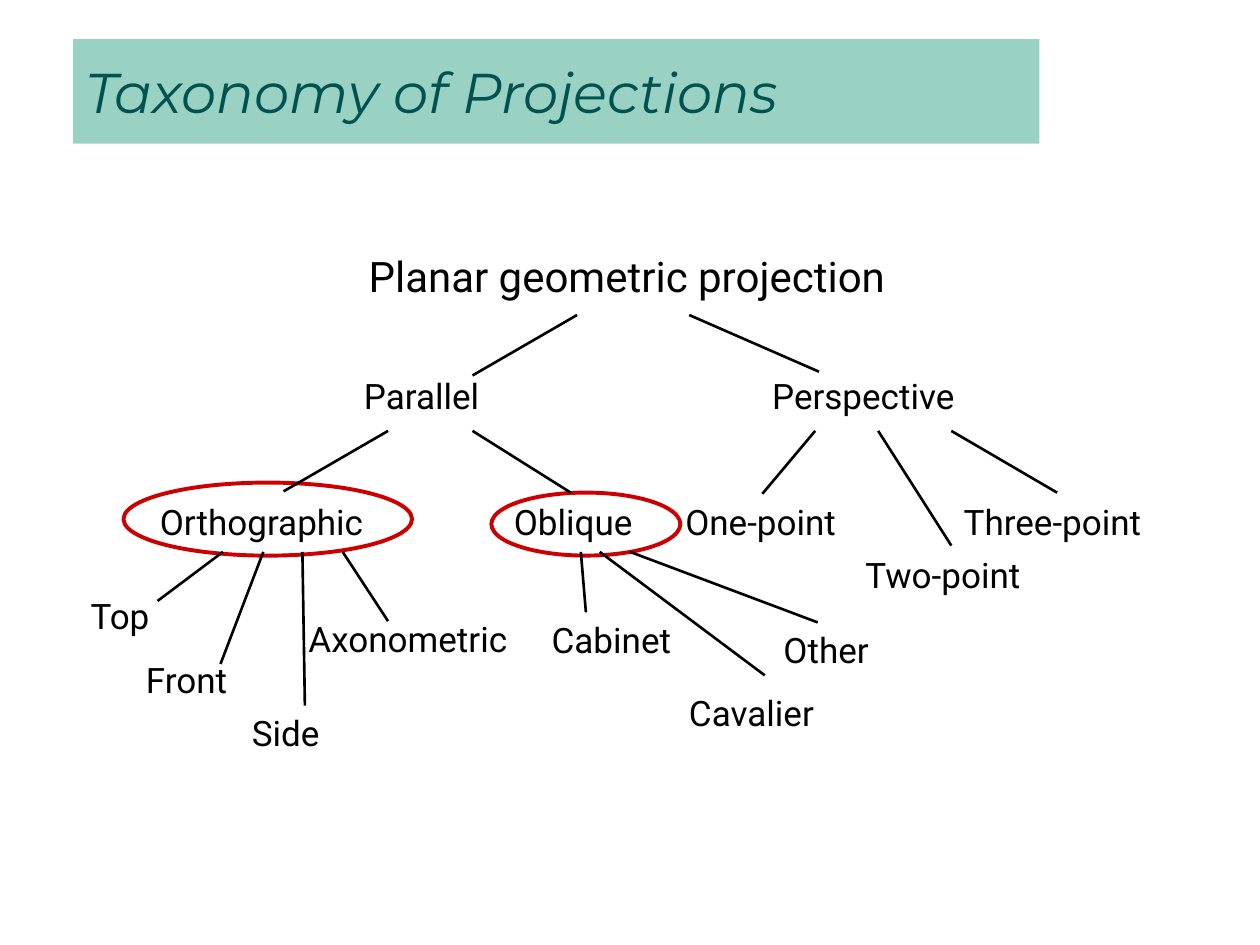
from pptx import Presentation
from pptx import util as u
from pptx.dml import color
from pptx.enum import shapes, text
from pptx.oxml.ns import qn
from lxml import etree

HUES = {"band": "99D1C2", "title": "005250", "ink": "000000", "ring": "CC0000"}
COLS, ROWS = 88, 42
TREE = (0.6, 1.9, 8.8, 4.2)
BAND = (0.58, 0.31, 7.67, 0.83)
HIGH = 4.4

ROOT = ("Planar geometric projection", 20.9, 0.4, 45.7)
KINDS = {
    10.2: [("Parallel", 21.9, 11.7), ("Perspective", 54.3, 17)],
    20.2: [("Orthographic", 5.7, 19.6), ("Oblique", 33.8, 12.3),
           ("One-point", 47.4, 15.2), ("Three-point", 69.5, 17.3)],
    24.4: [("Two-point", 61.7, 15.1)],
    27.7: [("Top", 0.2, 6.9)],
    29.5: [("Axonometric", 17.5, 18.7)],
    29.6: [("Cabinet", 36.8, 12)],
    30.4: [("Other", 55.2, 9.6)],
    32.8: [("Front", 4.6, 9)],
    35.4: [("Cavalier", 47.7, 12.4)],
    37: [("Side", 13, 7.5)],
}
LINKS = {
    6: [(39.8, 31.5, 10.8), (48.7, 59, 10.5)],
    15.2: [(24.8, 16.5, 20), (31.5, 39.3, 20.1), (58.7, 54.5, 20.2),
           (63.7, 69.5, 24.3), (69.5, 77.9, 20.1)],
    24.8: [(11.7, 6.5, 28.7), (14.9, 11.5, 33.7), (18, 18.2, 37),
           (21.2, 24.8, 30.3), (40.1, 40.5, 29.6), (41.6, 54.7, 34.6),
           (44, 58.9, 30.4)],
}
RINGS = [(3.8, 19.3, 22.9, 5.8), (33, 20.1, 15, 5)]


def hue(name):
    return color.RGBColor.from_string(HUES[name])


def cell(box, x, y):
    left, top, wide, tall = box
    return u.Inches(left + x * wide / COLS), u.Inches(top + y * tall / ROWS)


def area(box, x, y, w, h):
    return (*cell(box, x, y), *cell((0, 0, *box[2:]), w, h))


def write(frame, words, size=20, font="Roboto", ink="ink", slant=False,
          align=text.PP_ALIGN.LEFT):
    para = frame.paragraphs[0]
    para.alignment = align
    run = para.add_run()
    run.text = words
    run.font.size = u.Pt(size)
    run.font.name = font
    run.font.italic = slant
    run.font.color.rgb = hue(ink)


def head(slide, box):
    title = slide.shapes.title
    title.left, title.top, title.width, title.height = map(u.Inches, box)
    title.fill.solid()
    title.fill.fore_color.rgb = hue("band")
    frame = title.text_frame
    frame.auto_size = text.MSO_AUTO_SIZE.NONE
    frame.vertical_anchor = text.MSO_ANCHOR.MIDDLE
    write(frame, "Taxonomy of Projections", size=32, font="Montserrat",
          ink="title", slant=True)


def rings(slide, box):
    for spot in RINGS:
        ring = slide.shapes.add_shape(shapes.MSO_SHAPE.OVAL, *area(box, *spot))
        ring.shadow.inherit = False
        ring.fill.background()
        ring.line.color.rgb = hue("ring")
        ring.line.width = u.Pt(2.25)


def label(group, box, words, x, y, wide, high=HIGH, **style):
    frame = group.shapes.add_textbox(*area(box, x, y, wide, high)).text_frame
    frame.word_wrap = False
    frame.auto_size = text.MSO_AUTO_SIZE.SHAPE_TO_FIT_TEXT
    write(frame, words, **style)


def link(group, box, start, end):
    line = group.shapes.add_connector(
        shapes.MSO_CONNECTOR.STRAIGHT, *cell(box, *start), *cell(box, *end))
    line.line.color.rgb = hue("ink")
    line.line.width = u.Pt(1.5)
    etree.SubElement(line._element.spPr, qn("a:effectLst"))


def tree(slide, box):
    group = slide.shapes.add_group_shape()
    label(group, box, *ROOT, high=5, size=24, align=text.PP_ALIGN.CENTER)
    for y, row in KINDS.items():
        for words, x, wide in row:
            label(group, box, words, x, y, wide)
    for y, row in LINKS.items():
        for x, to, down in row:
            link(group, box, (x, y), (to, down))


def main():
    deck = Presentation()
    deck.slide_width, deck.slide_height = u.Inches(10), u.Inches(7.5)
    slide = deck.slides.add_slide(deck.slide_layouts[5])
    head(slide, BAND)
    rings(slide, TREE)
    tree(slide, TREE)
    deck.save("out.pptx")


if __name__ == "__main__":
    main()
